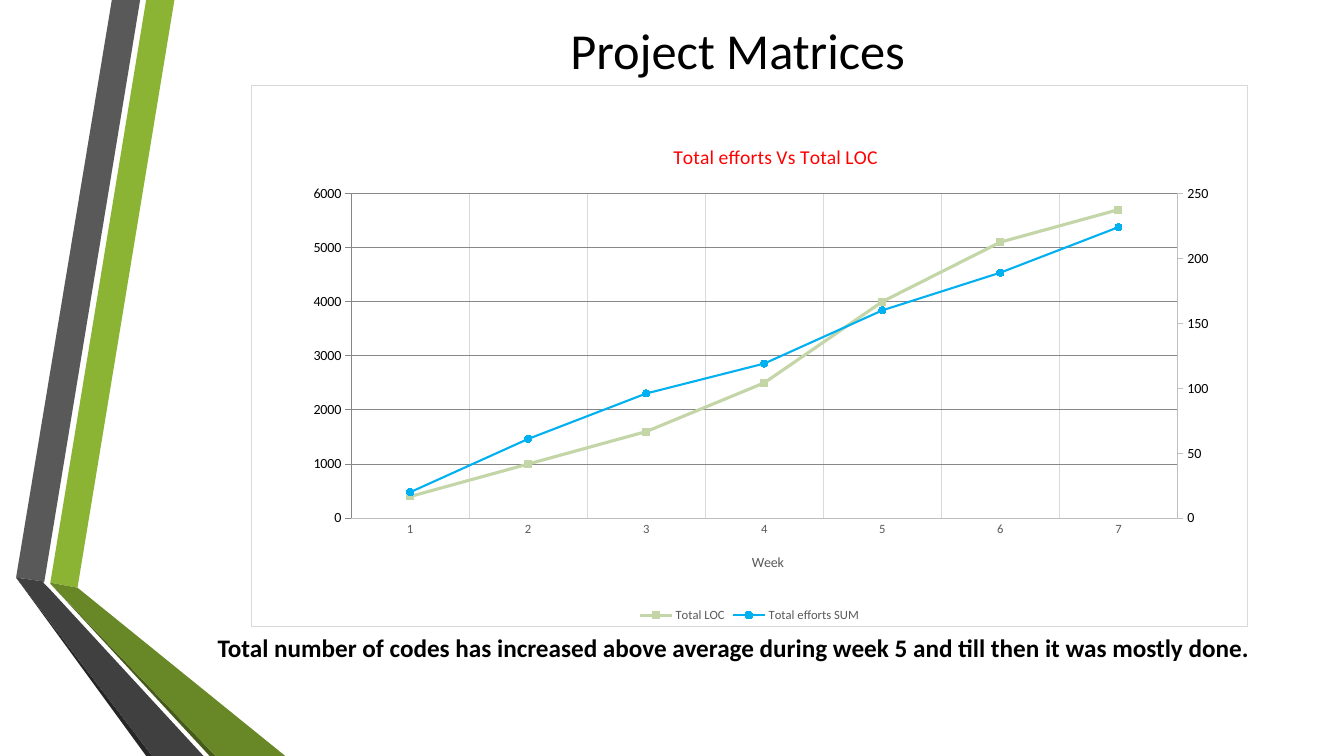
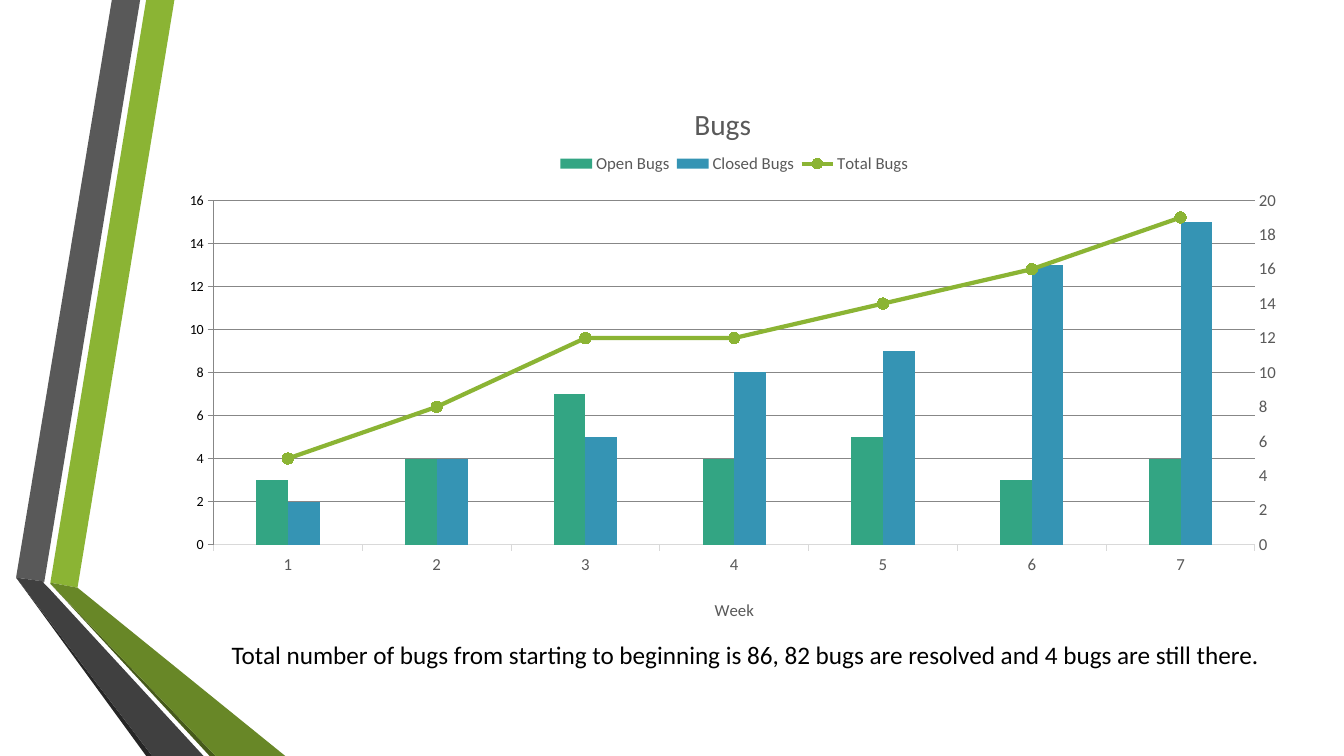
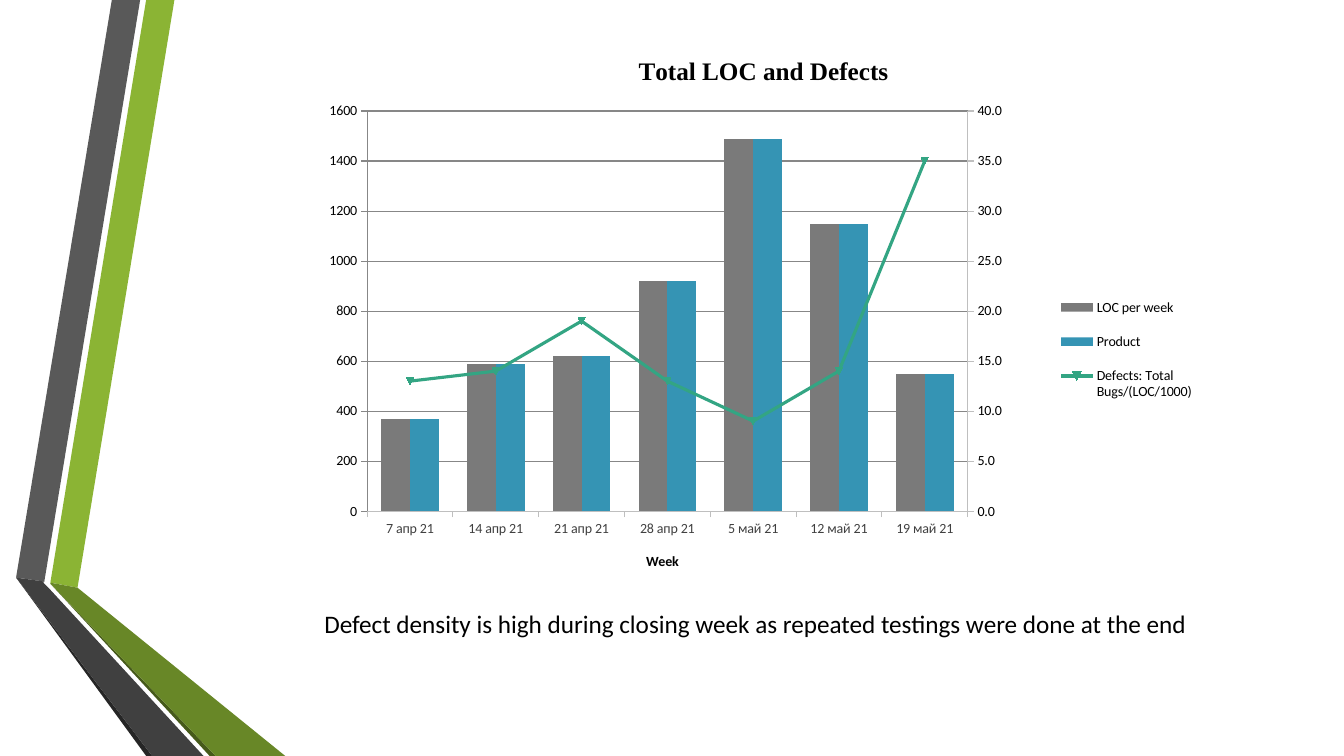
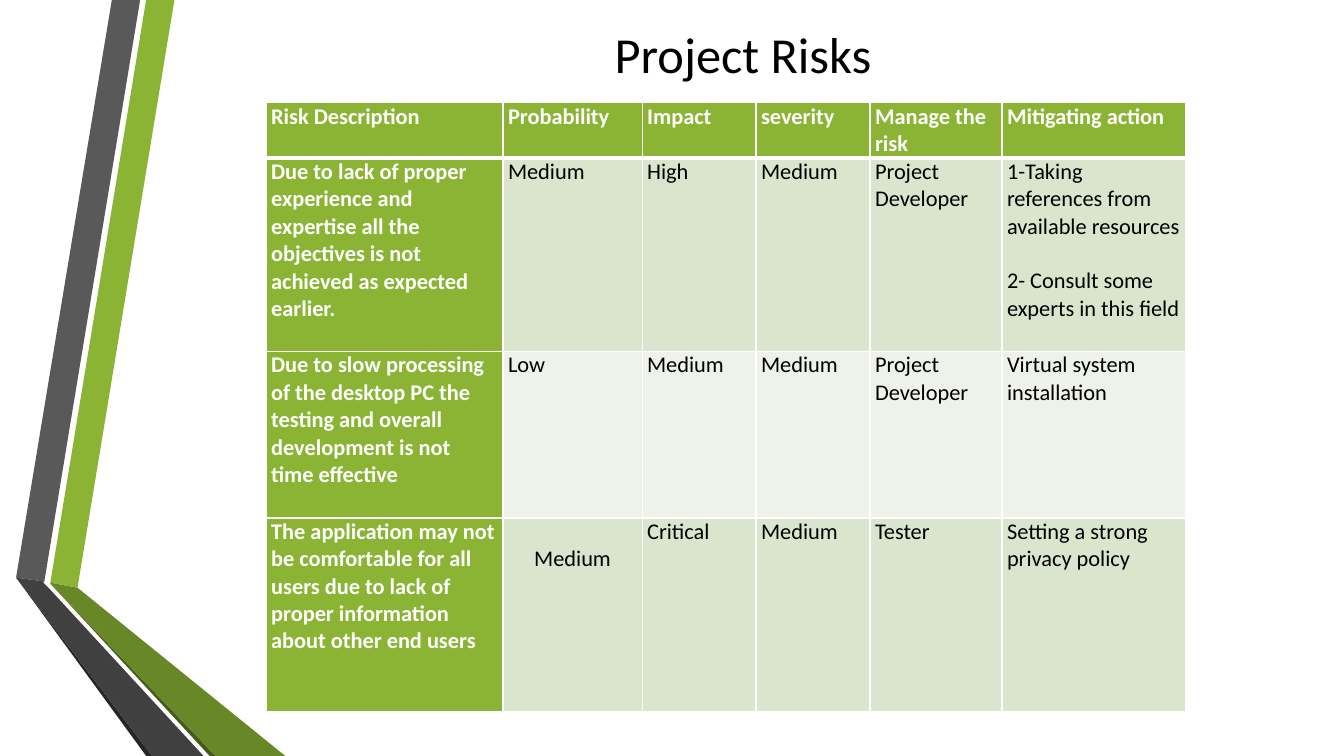
from lxml import etree
from pptx import Presentation
from pptx.chart.axis import ValueAxis
from pptx.chart.data import CategoryChartData
from pptx.dml.color import RGBColor
from pptx.enum.chart import XL_CHART_TYPE, XL_LEGEND_POSITION, XL_MARKER_STYLE, XL_TICK_MARK
from pptx.enum.text import PP_ALIGN
from pptx.oxml import parse_xml
from pptx.oxml.ns import nsdecls, qn
from pptx.util import Pt

LINES, COLUMNS = XL_CHART_TYPE.LINE_MARKERS, XL_CHART_TYPE.COLUMN_CLUSTERED
TICK_OUT, TICK_NONE = XL_TICK_MARK.OUTSIDE, XL_TICK_MARK.NONE
CIRCLE, SQUARE = XL_MARKER_STYLE.CIRCLE, XL_MARKER_STYLE.SQUARE
LEGEND_TOP, LEGEND_RIGHT, LEGEND_BOTTOM = (
    XL_LEGEND_POSITION.TOP, XL_LEGEND_POSITION.RIGHT, XL_LEGEND_POSITION.BOTTOM)
CENTER = PP_ALIGN.CENTER

# Colours and fonts
BLACK = RGBColor(0x00, 0x00, 0x00)
WHITE = RGBColor(0xFF, 0xFF, 0xFF)
RED = RGBColor(0xFF, 0x00, 0x00)
GREEN = RGBColor(0x8B, 0xB4, 0x34)
DARK_GREEN = RGBColor(0x68, 0x87, 0x27)
OLIVE = RGBColor(0x46, 0x5A, 0x1A)
PALE_GREEN = RGBColor(0xC4, 0xD6, 0xA8)
ROW_TINT = RGBColor(0xDA, 0xE5, 0xCE)
ROW_LIGHT = RGBColor(0xEE, 0xF2, 0xE8)
TEAL = RGBColor(0x33, 0xA5, 0x83)
BLUE = RGBColor(0x35, 0x94, 0xB4)
SKY = RGBColor(0x00, 0xB0, 0xF0)
INK = RGBColor(0x26, 0x26, 0x26)
CHARCOAL = RGBColor(0x40, 0x40, 0x40)
SLATE = RGBColor(0x59, 0x59, 0x59)
GRAY = RGBColor(0x7A, 0x7A, 0x7A)
AXIS_GRAY = RGBColor(0xBF, 0xBF, 0xBF)
GRID_GRAY = RGBColor(0xD9, 0xD9, 0xD9)
MINOR_GRAY = RGBColor(0xF2, 0xF2, 0xF2)
BODY_FONT, SERIF_FONT = "Calibri", "Times New Roman"

# Ribbon at the left edge: colour and corners in points
RIBBON = [
    (GREEN, [(36, 416.2), (55.4, 419.8), (124.6, 0), (104.4, 0)]),
    (SLATE, [(100.1, 0), (79.9, 0), (11.5, 412.6), (31.7, 415.4)]),
    (INK, [(11.5, 412.6), (104.4, 540), (108.7, 540)]),
    (OLIVE, [(36, 416.9), (149.8, 540), (154.1, 540)]),
    (DARK_GREEN, [(36, 416.9), (154.1, 540), (203.8, 540), (55.4, 419.8), (36, 416.2)]),
    (CHARCOAL, [(145.4, 540), (34.6, 419.8), (31, 416.2), (31.7, 415.4),
                (11.5, 412.6), (108.7, 540)]),
]

WEEKS = ["1", "2", "3", "4", "5", "6", "7"]

# Charts: boxes in points, layouts as fractions of the chart; the last series uses the right axis
EFFORTS_CHART = {
    "box": (179.3, 60.5, 712, 387.4), "kind": LINES, "border": GRID_GRAY, "cats": WEEKS,
    "title": ("Total efforts Vs Total LOC", 14, RED, False, BODY_FONT, (0.42, 0.1)),
    "week": ("Week", 10, SLATE, False, BODY_FONT, (0.5, 0.86)),
    "plot": (0.1, 0.2, 0.83, 0.6),
    "legend": (LEGEND_BOTTOM, 9, SLATE, None),
    "cat_axis": {"size": 9, "color": SLATE, "line": AXIS_GRAY, "tick": TICK_NONE,
                 "grid": GRID_GRAY},
    "left_axis": {"size": 9, "color": SLATE, "line": AXIS_GRAY, "tick": TICK_NONE,
                  "grid": GRID_GRAY, "top": 6000, "step": 1000},
    "right_axis": {"size": 10, "color": BLACK, "line": AXIS_GRAY, "tick": TICK_OUT,
                   "top": 250, "step": 50},
    "series": [
        {"name": "Total LOC", "values": [400, 1000, 1600, 2500, 4000, 5100, 5700],
         "color": PALE_GREEN, "width": 2.25, "marker": (SQUARE, 5)},
        {"name": "Total efforts SUM", "values": [20, 61, 96, 119, 160, 189, 224],
         "color": SKY, "width": 1.5, "marker": (CIRCLE, 5)},
    ],
}
BUGS_CHART = {
    "box": (120.2, 50.4, 808.6, 403.2), "kind": COLUMNS, "gap": 269, "cats": WEEKS,
    "title": ("Bugs", 21, SLATE, False, BODY_FONT, (0.46, 0.05)),
    "week": ("Week", 12, SLATE, False, BODY_FONT, (0.48, 0.93)),
    "plot": (0.04, 0.23, 0.92, 0.61),
    "legend": (LEGEND_TOP, 12, SLATE, (0.34, 0.14, 0.32, 0.05)),
    "cat_axis": {"size": 12, "color": SLATE, "line": GRID_GRAY, "tick": TICK_OUT},
    "left_axis": {"size": 12, "color": SLATE, "tick": TICK_NONE, "grid": GRID_GRAY,
                  "minor_step": 0.4, "top": 16, "step": 2},
    "right_axis": {"size": 12, "color": SLATE, "tick": TICK_NONE, "top": 20, "step": 2},
    "series": [
        {"name": "Open Bugs", "values": [3, 4, 7, 4, 5, 3, 4], "color": TEAL},
        {"name": "Closed Bugs", "values": [2, 4, 5, 8, 9, 13, 15], "color": BLUE},
        {"name": "Total Bugs", "values": [5, 8, 12, 12, 14, 16, 19],
         "color": GREEN, "width": 3, "marker": (CIRCLE, 8)},
    ],
}
DEFECTS_CHART = {
    "box": (200.9, 24.5, 681.1, 391.7), "kind": COLUMNS, "gap": 98,
    "cats": ["7 апр 21", "14 апр 21", "21 апр 21", "28 апр 21",
             "5 май 21", "12 май 21", "19 май 21"],
    "title": ("Total LOC and Defects", 18, BLACK, True, SERIF_FONT, (0.37, 0.03)),
    "week": ("Week", 10, BLACK, True, BODY_FONT, (0.38, 0.94)),
    "plot": (0.09, 0.14, 0.63, 0.73),
    "legend": (LEGEND_RIGHT, 10, BLACK, (0.8, 0.45, 0.19, 0.25)),
    "cat_axis": {"size": 10, "color": CHARCOAL, "line": AXIS_GRAY, "tick": TICK_OUT},
    "left_axis": {"size": 10, "color": BLACK, "line": AXIS_GRAY, "tick": TICK_OUT,
                  "grid": AXIS_GRAY, "top": 1600, "step": 200},
    "right_axis": {"size": 10, "color": BLACK, "line": AXIS_GRAY, "tick": TICK_OUT,
                   "top": 40, "step": 5, "format": "0.0"},
    "series": [
        {"name": "LOC per week", "values": [370, 590, 620, 920, 1490, 1150, 550],
         "color": GRAY},
        {"name": "Product", "values": [370, 590, 620, 920, 1490, 1150, 550], "color": BLUE},
        {"name": "Defects: Total Bugs/(LOC/1000)", "values": [13, 14, 19, 13, 9, 14, 35],
         "color": TEAL, "width": 2.25, "marker": (None, 5)},
    ],
}

# Risk table: a cell is a list of paragraphs
RISK_BOX = (190.1, 73.4)
RISK_COLUMNS = [169.2, 99.4, 81.4, 81.4, 94.3, 131]
RISK_ROWS = [39.6, 138.2, 118.8, 138.2]
LINE_PITCH = 19.5
RISKS = [
    [["Risk Description"], ["Probability"], ["Impact"], ["severity"], ["Manage the risk"],
     ["Mitigating action"]],
    [["Due to lack of proper experience and expertise all the objectives is not achieved "
      "as expected earlier."], ["Medium"], ["High"], ["Medium"], ["Project Developer"],
     ["1-Taking references from available resources",
      "2- Consult some experts in this field"]],
    [["Due to slow processing of the desktop PC the testing and overall development is not "
      "time effective"], ["Low"], ["Medium"], ["Medium"], ["Project Developer"],
     ["Virtual system installation"]],
    [["The application may not be comfortable for all users due to lack of proper "
      "information about other end users"], ["Medium"], ["Critical"], ["Medium"],
     ["Tester"], ["Setting a strong privacy policy"]],
]
LOWERED_CELL = (3, 1)

# Slides: texts with their boxes in points, captions also with their weight
TITLE_SIZE, CAPTION_SIZE = 36, 18
SLIDES = [
    {"title": ("Project Matrices", (400.3, 10.1, 356.4, 51.1)),
     "chart": EFFORTS_CHART,
     "caption": ("Total number of codes has increased above average during week 5 and till "
                 "then it was mostly done.", (148.3, 447.8, 793.4, 51.1), True)},
    {"chart": BUGS_CHART,
     "caption": ("Total number of bugs from starting to beginning is 86, 82 bugs are "
                 "resolved and 4 bugs are still there.", (158.4, 452.9, 794.9, 51.1), False)},
    {"chart": DEFECTS_CHART,
     "caption": ("Defect density is high during closing week as repeated testings were done "
                 "at the end", (224.6, 431.3, 680.4, 28.8), False)},
    {"title": ("Project Risks", (432, 13, 366.5, 51.1)), "risks": RISKS},
]


def style_font(font, size, color, bold=False, name=BODY_FONT):
    font.size, font.bold, font.name = Pt(size), bold, name
    font.color.rgb = color


def add_text(slide, words, box, size, bold=False):
    frame = slide.shapes.add_textbox(*map(Pt, box)).text_frame
    frame.word_wrap = True
    run = frame.paragraphs[0].add_run()
    run.text = words
    style_font(run.font, size, BLACK, bold)


def move_ribbon_to_master(slide, master):
    """Draw the ribbon and let every slide inherit it."""
    for number, (color, corners) in enumerate(RIBBON):
        points = [(Pt(x), Pt(y)) for x, y in corners]
        builder = slide.shapes.build_freeform(*points[0])
        builder.add_line_segments(points[1:], close=True)
        band = builder.convert_to_shape()
        band.shadow.inherit = False
        band.fill.solid()
        band.fill.fore_color.rgb = color
        band.line.fill.background()
        band.element.find(".//" + qn("p:cNvPr")).set("id", str(100 + number))
        master.shapes.element.append(band.element)


# Charts
def place(element, index, layout, inner=False):
    """Give a chart part a fixed place, in fractions of the chart."""
    for old in element.findall(qn("c:layout")):
        element.remove(old)
    new = parse_xml(f"<c:layout {nsdecls('c')}><c:manualLayout/></c:layout>")
    settings = [("layoutTarget", "inner")] if inner else []
    settings += [("xMode", "edge"), ("yMode", "edge"), *zip("xywh", layout)]
    for tag, value in settings:
        etree.SubElement(new[0], qn("c:" + tag)).set("val", str(value))
    element.insert(index, new)


def write_chart_title(title, words, size, color, bold, font, layout):
    run = title.text_frame.paragraphs[0].add_run()
    run.text = words
    style_font(run.font, size, color, bold, font)
    place(title.text_frame._txBody.getparent().getparent(), 1, layout)


def paint_line(line, color, width=0.75):
    if color is None:
        line.fill.background()
    else:
        line.color.rgb, line.width = color, Pt(width)


def style_axis(axis, look):
    style_font(axis.tick_labels.font, look["size"], look["color"])
    paint_line(axis.format.line, look.get("line"))
    axis.major_tick_mark, axis.minor_tick_mark = look["tick"], TICK_NONE
    axis.has_major_gridlines = "grid" in look
    if "grid" in look:
        paint_line(axis.major_gridlines.format.line, look["grid"])
    if "top" in look:
        axis.minimum_scale, axis.maximum_scale = 0, look["top"]
        axis.major_unit = look["step"]
    if "minor_step" in look:
        axis.minor_unit = look["minor_step"]
        axis.has_minor_gridlines = True
    if "format" in look:
        axis.tick_labels.number_format = look["format"]
        axis.tick_labels.number_format_is_linked = False


def add_right_axis(chart):
    """Move the last series to a line plot on a second value axis."""
    plot_area = chart.element.find(".//" + qn("c:plotArea"))
    series = plot_area.findall(".//" + qn("c:ser"))[-1]
    for flag in series.findall(qn("c:invertIfNegative")):
        series.remove(flag)
    first_plot = series.getparent()
    line_plot = parse_xml(
        f'<c:lineChart {nsdecls("c")}><c:grouping val="standard"/><c:varyColors val="0"/>'
        '<c:marker val="1"/><c:axId val="501"/><c:axId val="502"/></c:lineChart>')
    line_plot.insert(2, series)
    first_plot.addnext(line_plot)

    previous = plot_area.find(qn("c:valAx"))
    for tag, own, other, hidden, side, crosses in (
            ("valAx", 502, 501, 0, "r", "max"), ("catAx", 501, 502, 1, "b", "autoZero")):
        axis = parse_xml(
            f'<c:{tag} {nsdecls("c")}><c:axId val="{own}"/>'
            '<c:scaling><c:orientation val="minMax"/></c:scaling>'
            f'<c:delete val="{hidden}"/><c:axPos val="{side}"/>'
            '<c:numFmt formatCode="General" sourceLinked="0"/>'
            '<c:majorTickMark val="none"/><c:minorTickMark val="none"/>'
            '<c:tickLblPos val="nextTo"/>'
            f'<c:crossAx val="{other}"/><c:crosses val="{crosses}"/></c:{tag}>')
        previous.addnext(axis)
        previous = axis
    return ValueAxis(plot_area.findall(qn("c:valAx"))[-1])


def style_series(series, look):
    if "marker" not in look:
        series.format.fill.solid()
        series.format.fill.fore_color.rgb = look["color"]
        return
    paint_line(series.format.line, look["color"], look["width"])
    series.smooth = False
    style, size = look["marker"]
    if style is not None:
        series.marker.style = style
    series.marker.size = size
    series.marker.format.fill.solid()
    series.marker.format.fill.fore_color.rgb = look["color"]
    paint_line(series.marker.format.line, look["color"])


def outline_xml(color):
    fill = f'<a:solidFill><a:srgbClr val="{color}"/></a:solidFill>' if color else "<a:noFill/>"
    return f'<a:ln w="{Pt(0.75)}">{fill}</a:ln>'


def add_combined_chart(slide, content):
    data = CategoryChartData()
    data.categories = content["cats"]
    for look in content["series"]:
        data.add_series(look["name"], look["values"])
    chart = slide.shapes.add_chart(content["kind"], *map(Pt, content["box"]), data).chart
    style_font(chart.font, 10, BLACK)

    # Frame
    chart.element.find(qn("c:chart")).addnext(parse_xml(
        f'<c:spPr {nsdecls("c", "a")}><a:solidFill><a:srgbClr val="{WHITE}"/></a:solidFill>'
        f'{outline_xml(content.get("border"))}</c:spPr>'))

    # Plots and axes
    right_axis = add_right_axis(chart)
    style_axis(chart.category_axis, content["cat_axis"])
    style_axis(chart.value_axis, content["left_axis"])
    style_axis(right_axis, content["right_axis"])
    for gridlines in chart.element.findall(".//" + qn("c:minorGridlines")):
        gridlines.append(parse_xml(
            f'<c:spPr {nsdecls("c", "a")}>{outline_xml(MINOR_GRAY)}</c:spPr>'))
    plots = list(chart.plots)
    plots[0].vary_by_categories = False
    if "gap" in content:
        plots[0].gap_width, plots[0].overlap = content["gap"], 0
    drawn = [series for plot in plots for series in plot.series]
    for series, look in zip(drawn, content["series"]):
        style_series(series, look)
    place(chart.element.find(".//" + qn("c:plotArea")), 0, content["plot"], inner=True)

    # Titles and legend
    chart.has_title = True
    write_chart_title(chart.chart_title, *content["title"])
    write_chart_title(chart.category_axis.axis_title, *content["week"])
    position, size, color, layout = content["legend"]
    chart.has_legend = True
    chart.legend.position = position
    chart.legend.include_in_layout = False
    style_font(chart.legend.font, size, color)
    if layout:
        place(chart.element.find(".//" + qn("c:legend")), 1, layout)


# Table
def set_borders(cell, widths):
    properties = cell._tc.get_or_add_tcPr()
    for index, (side, width) in enumerate(widths.items()):
        properties.insert(index, parse_xml(
            f'<a:ln{side} {nsdecls("a")} w="{Pt(width)}"><a:solidFill>'
            f'<a:srgbClr val="{WHITE}"/></a:solidFill></a:ln{side}>'))


def add_risk_table(slide, risks):
    size = sum(RISK_COLUMNS), sum(RISK_ROWS)
    table = slide.shapes.add_table(
        len(RISK_ROWS), len(RISK_COLUMNS), *map(Pt, RISK_BOX + size)).table
    for column, width in zip(table.columns, RISK_COLUMNS):
        column.width = Pt(width)
    for r, (height, row) in enumerate(zip(RISK_ROWS, risks)):
        table.rows[r].height = Pt(height)
        for c, paragraphs in enumerate(row):
            cell = table.cell(r, c)
            heading = r == 0 or c == 0
            lowered = (r, c) == LOWERED_CELL
            cell.fill.solid()
            cell.fill.fore_color.rgb = GREEN if heading else ROW_TINT if r % 2 else ROW_LIGHT
            set_borders(cell, {"L": 1, "R": 1, "T": 3 if r == 1 else 1, "B": 1 if r else 3})
            cell.margin_left = cell.margin_right = Pt(3.6)
            cell.margin_top, cell.margin_bottom = Pt(LINE_PITCH if lowered else 0), Pt(0)
            for p, words in enumerate(paragraphs):
                frame = cell.text_frame
                paragraph = frame.add_paragraph() if p else frame.paragraphs[0]
                if p:
                    paragraph.space_before = Pt(LINE_PITCH)
                if lowered:
                    paragraph.alignment = CENTER
                run = paragraph.add_run()
                run.text = words
                style_font(run.font, 16, WHITE if heading else BLACK, heading)


def main():
    deck = Presentation()
    deck.slide_width, deck.slide_height = Pt(960), Pt(540)
    blank = deck.slide_layouts[6]
    for number, content in enumerate(SLIDES):
        slide = deck.slides.add_slide(blank)
        if number == 0:
            move_ribbon_to_master(slide, deck.slide_master)
        if "title" in content:
            add_text(slide, *content["title"], TITLE_SIZE)
        if "chart" in content:
            add_combined_chart(slide, content["chart"])
        if "risks" in content:
            add_risk_table(slide, content["risks"])
        if "caption" in content:
            words, box, bold = content["caption"]
            add_text(slide, words, box, CAPTION_SIZE, bold)
    deck.save("out.pptx")


if __name__ == "__main__":
    main()
